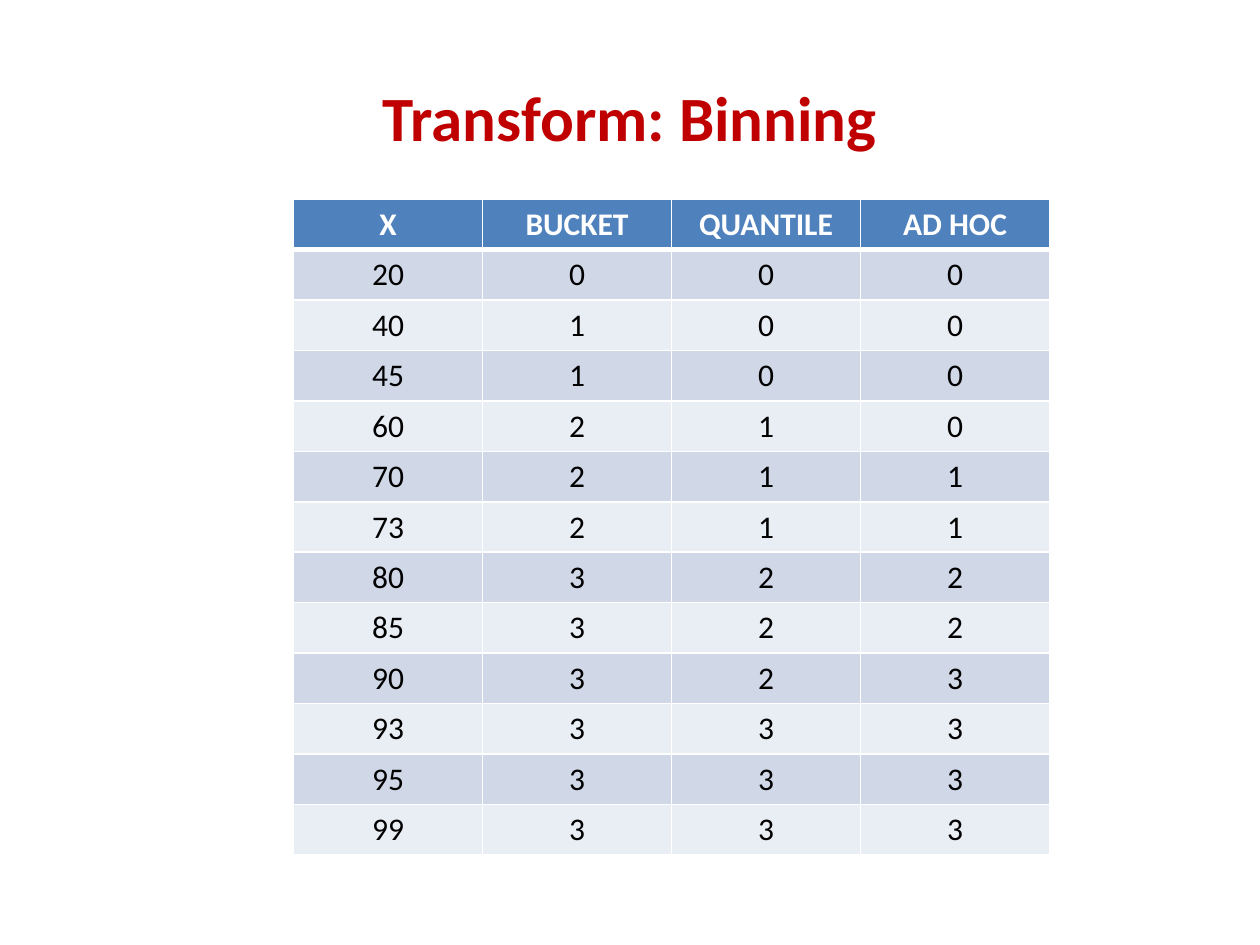
import pptx
import pptx.dml.color
import pptx.enum.text
import pptx.oxml
import pptx.oxml.ns
import pptx.util

RGBColor = pptx.dml.color.RGBColor
Inches = pptx.util.Inches
Pt = pptx.util.Pt

RED = RGBColor(0xC0, 0x00, 0x00)
WHITE = RGBColor(0xFF, 0xFF, 0xFF)
BLACK = RGBColor(0x00, 0x00, 0x00)
BLUE = RGBColor(0x4F, 0x81, 0xBD)
BANDS = (RGBColor(0xE9, 0xED, 0xF4), RGBColor(0xD0, 0xD8, 0xE8))

TITLE = "Transform: Binning"
HEADINGS = ("X", "BUCKET", "QUANTILE", "AD HOC")
BINS = [
    (20, 0, 0, 0),
    (40, 1, 0, 0),
    (45, 1, 0, 0),
    (60, 2, 1, 0),
    (70, 2, 1, 1),
    (73, 2, 1, 1),
    (80, 3, 2, 2),
    (85, 3, 2, 2),
    (90, 3, 2, 3),
    (93, 3, 3, 3),
    (95, 3, 3, 3),
    (99, 3, 3, 3),
]

TITLE_FORMAT = {"name": "Calibri", "size": Pt(36), "bold": True}
HEADING_FORMAT = {"name": "Calibri", "size": Pt(18), "bold": True}
BODY_FORMAT = {"name": "Calibri", "size": Pt(18), "bold": False}

SLIDE_WIDTH, SLIDE_HEIGHT = 10, 7.5
TABLE_LEFT, TABLE_TOP = 2.33, 1.58
COLUMN_WIDTH, ROW_HEIGHT = 1.5, 0.4


def write(frame, text, font_format, color):
    para = frame.paragraphs[0]
    para.alignment = pptx.enum.text.PP_ALIGN.CENTER
    span = para.add_run()
    span.text = text
    for name, value in font_format.items():
        setattr(span.font, name, value)
    span.font.color.rgb = color


def set_borders(cell, widths):
    properties = cell._tc.get_or_add_tcPr()
    for position, (side, width) in enumerate(widths.items()):
        border = pptx.oxml.parse_xml(
            f'<a:ln{side} {pptx.oxml.ns.nsdecls("a")} w="{Pt(width)}">'
            f'<a:solidFill><a:srgbClr val="{WHITE}"/></a:solidFill></a:ln{side}>'
        )
        properties.insert(position, border)


def add_title(page):
    box = page.shapes.add_textbox(
        Inches(0.05 * SLIDE_WIDTH), Inches(0.04 * SLIDE_HEIGHT),
        Inches(0.9 * SLIDE_WIDTH), Inches(1.25),
    )
    frame = box.text_frame
    frame.word_wrap = True
    frame.vertical_anchor = pptx.enum.text.MSO_ANCHOR.MIDDLE
    write(frame, TITLE, TITLE_FORMAT, RED)


def add_bin_table(page):
    rows = [HEADINGS, *BINS]
    table = page.shapes.add_table(
        len(rows), len(HEADINGS), Inches(TABLE_LEFT), Inches(TABLE_TOP),
        Inches(COLUMN_WIDTH * len(HEADINGS)), Inches(ROW_HEIGHT * len(rows)),
    ).table
    for row_index, values in enumerate(rows):
        heading = row_index == 0
        borders = {"L": 1, "R": 1, "T": 3 if row_index == 1 else 1, "B": 3 if heading else 1}
        for column_index, value in enumerate(values):
            cell = table.cell(row_index, column_index)
            cell.fill.solid()
            cell.fill.fore_color.rgb = BLUE if heading else BANDS[row_index % 2]
            set_borders(cell, borders)
            write(
                cell.text_frame, str(value),
                HEADING_FORMAT if heading else BODY_FORMAT,
                WHITE if heading else BLACK,
            )


def main():
    deck = pptx.Presentation()
    deck.slide_width = Inches(SLIDE_WIDTH)
    deck.slide_height = Inches(SLIDE_HEIGHT)
    page = deck.slides.add_slide(deck.slide_layouts[6])
    add_title(page)
    add_bin_table(page)
    deck.save("out.pptx")


if __name__ == "__main__":
    main()
